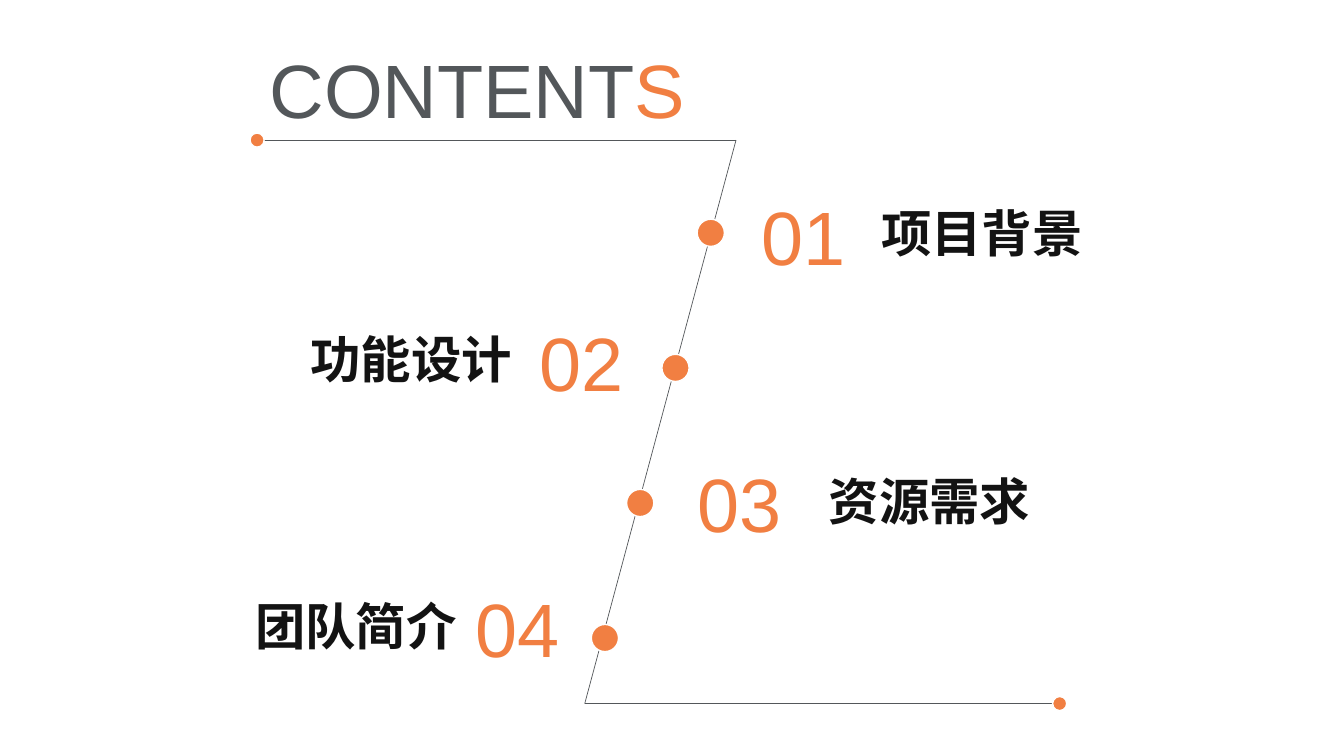
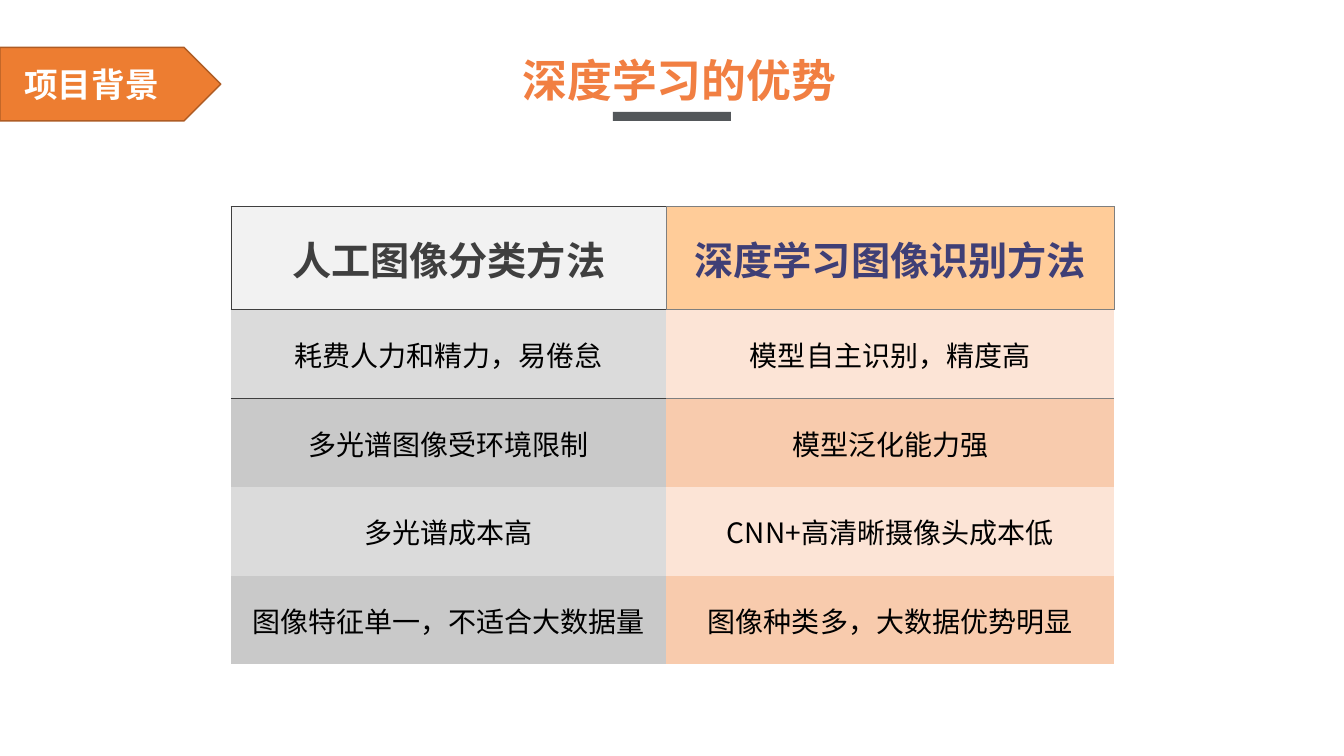
from lxml import etree
from pptx import Presentation
from pptx.dml.color import RGBColor
from pptx.enum import shapes, text
from pptx.oxml import ns
from pptx.util import Inches, Pt

ORANGE, GRAY, INK, WHITE = "F17F42", "53575A", "131313", "FFFFFF"
LATIN, CJK = "Arial", "Noto Sans CJK SC"
LEFT, CENTER = text.PP_ALIGN.LEFT, text.PP_ALIGN.CENTER
NO_STYLE = "{2D5ABB26-0587-4C30-8999-92F81FD0307C}"


def rgb(color):
    return RGBColor.from_string(color)


def inches(*values):
    return [Inches(v) for v in values]


def add_run(p, words, size, color, font=CJK, bold=False):
    r = p.add_run()
    r.text = words
    r.font.size, r.font.bold, r.font.name = Pt(size), bold, font
    r.font.color.rgb = rgb(color)
    etree.SubElement(r.font._element, ns.qn("a:ea"), typeface=font)


def add_label(s, box, words, size, color, font=CJK, bold=False, wrap=True, align=LEFT):
    tf = s.shapes.add_textbox(*inches(*box)).text_frame
    tf.word_wrap = wrap
    p = tf.paragraphs[0]
    p.alignment = align
    add_run(p, words, size, color, font, bold)


def add_shape(s, kind, box, fill, line=None):
    sp = s.shapes.add_shape(kind, *inches(*box))
    sp.shadow.inherit = False
    sp.fill.solid()
    sp.fill.fore_color.rgb = rgb(fill)
    if line:
        sp.line.color.rgb = rgb(line)
        sp.line.width = Pt(1)
    else:
        sp.line.fill.background()
    return sp


def add_dot(s, x, y, size):
    box = (x - size / 2, y - size / 2, size, size)
    add_shape(s, shapes.MSO_SHAPE.OVAL, box, ORANGE, WHITE)


def add_line(s, start, end):
    line = s.shapes.add_connector(shapes.MSO_CONNECTOR.STRAIGHT, *inches(*start, *end))
    line.line.color.rgb = rgb(GRAY)
    line.line.width = Pt(0.5)
    etree.SubElement(line._element.spPr, ns.qn("a:effectLst"))


def set_title(s, box, runs):
    title = s.shapes.title
    title.left, title.top, title.width, title.height = inches(*box)
    tf = title.text_frame
    tf.auto_size = text.MSO_AUTO_SIZE.NONE
    tf.vertical_anchor = text.MSO_ANCHOR.TOP
    tf.word_wrap = False
    p = tf.paragraphs[0]
    p.alignment = CENTER
    for run in runs:
        add_run(p, *run)


def add_zigzag(s, box):
    left, top, width, height = box
    bar = 4.73
    right, bottom = left + width, top + height
    corners = [(left, top), (left + bar, top), (right - bar, bottom), (right, bottom)]
    for start, end in zip(corners, corners[1:]):
        add_line(s, start, end)
    for x, y in (corners[0], corners[-1]):
        add_dot(s, x - 0.02, y, 0.14)
    for i in range(4):
        add_dot(s, left + 4.48 - 0.35 * i, top + 0.92 + 1.34 * i, 0.27)


def add_entry(s, top, number_left, name_left, number, name):
    add_label(s, (number_left, top, 1.18, 1.01), number, 54, ORANGE, LATIN)
    align = LEFT if name_left > number_left else CENTER
    add_label(s, (name_left, top + 0.13, 2.2, 0.71), name, 36, INK,
              bold=True, wrap=False, align=align)


def build_contents(s):
    set_title(s, (2.55, 0.38, 4.37, 1.01),
              [("CONTENT", 54, GRAY, LATIN), ("S", 54, ORANGE, LATIN)])
    add_zigzag(s, (2.57, 1.39, 7.96, 5.59))
    entries = [
        (1.83, 7.45, 8.64, "项目背景"),
        (3.08, 5.25, 2.98, "功能设计"),
        (4.48, 6.82, 8.12, "资源需求"),
        (5.72, 4.62, 2.43, "团队简介"),
    ]
    for i, (top, number_left, name_left, name) in enumerate(entries, 1):
        add_entry(s, top, number_left, name_left, f"{i:02}", name)


def add_section_tag(s, box, words):
    sp = add_shape(s, shapes.MSO_SHAPE.PENTAGON, box, "ED7D31", "AF5C24")
    tf = sp.text_frame
    tf.margin_right = Inches(0.29)
    tf.vertical_anchor = text.MSO_ANCHOR.MIDDLE
    p = tf.paragraphs[0]
    p.alignment = CENTER
    add_run(p, words, 24, WHITE, bold=True)


def add_borders(cell, colors):
    tc_pr = cell._tc.get_or_add_tcPr()
    for side, color in zip("LRTB", colors):
        if color:
            ln = etree.SubElement(tc_pr, ns.qn("a:ln" + side), w=str(Pt(0.5)))
            fill = etree.SubElement(ln, ns.qn("a:solidFill"))
            etree.SubElement(fill, ns.qn("a:srgbClr"), val=color)


def fill_cell(cell, words, size, color, fill, borders, bold):
    add_borders(cell, borders)
    cell.fill.solid()
    cell.fill.fore_color.rgb = rgb(fill)
    cell.vertical_anchor = text.MSO_ANCHOR.MIDDLE
    cell.margin_left = cell.margin_right = cell.margin_top = Inches(0.01)
    cell.margin_bottom = 0
    p = cell.text_frame.paragraphs[0]
    p.alignment = CENTER
    add_run(p, words, size, color, bold=bold)


def add_comparison(s, box, rows):
    dark, mid = "3F3F3F", "7F7F7F"
    table = s.shapes.add_table(len(rows), 2, *inches(*box)).table
    table.first_row = table.horz_banding = False
    table._tbl.tblPr.find(ns.qn("a:tableStyleId")).text = NO_STYLE
    for column, width in zip(table.columns, (4.32, 4.44)):
        column.width = Inches(width)
    heads = [("3F3F3F", "F2F2F2", (dark, mid, dark, dark)),
             ("3F3F76", "FFCC99", (mid,) * 4)]
    bands = [("DBDBDB", "FCE4D6"), ("C9C9C9", "F8CBAD")]
    for i, row in enumerate(rows):
        table.rows[i].height = Inches(0.88 if i else 1.02)
        for j, words in enumerate(row):
            color, fill, borders = heads[j]
            if i:
                top = borders[3] if i == 1 else None
                color, fill = "000000", bands[(i - 1) % 2][j]
                borders = (None, None, top, None)
            fill_cell(table.cell(i, j), words, 20 if i else 28, color, fill, borders, i == 0)


def build_advantages(s):
    add_section_tag(s, (0, 0.47, 2.19, 0.73), "项目背景")
    set_title(s, (5.08, 0.47, 3.32, 0.64), [("深度学习的优势", 32, ORANGE, CJK, True)])
    add_shape(s, shapes.MSO_SHAPE.RECTANGLE, (6.08, 1.11, 1.17, 0.09), GRAY)
    add_comparison(s, (2.29, 2.05, 8.76, 4.54), [
        ("人工图像分类方法", "深度学习图像识别方法"),
        ("耗费人力和精力，易倦怠", "模型自主识别，精度高"),
        ("多光谱图像受环境限制", "模型泛化能力强"),
        ("多光谱成本高", "CNN+高清晰摄像头成本低"),
        ("图像特征单一，不适合大数据量", "图像种类多，大数据优势明显"),
    ])


def main():
    prs = Presentation()
    prs.slide_width, prs.slide_height = inches(13.33, 7.5)
    for build in (build_contents, build_advantages):
        build(prs.slides.add_slide(prs.slide_layouts[5]))
    prs.save("out.pptx")


if __name__ == "__main__":
    main()
